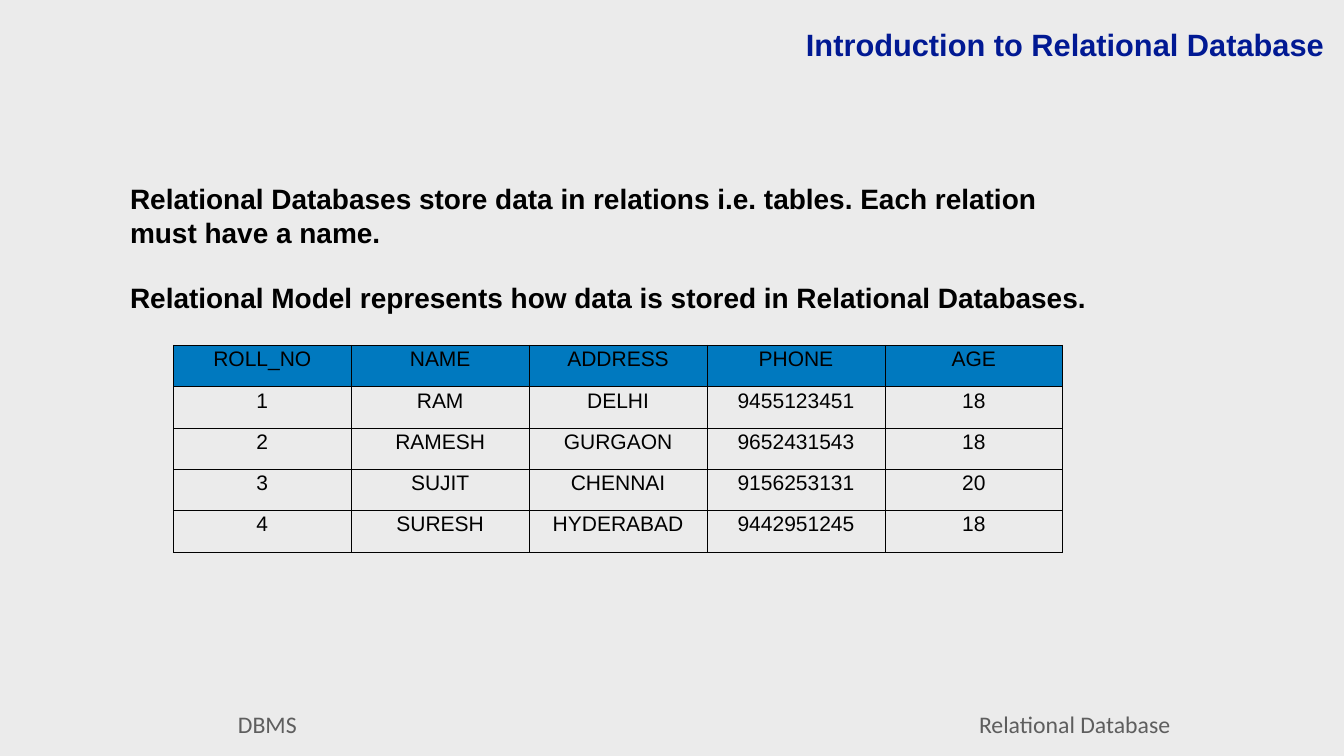
from lxml import etree
from pptx import Presentation
from pptx.dml.color import RGBColor
from pptx.enum.shapes import MSO_SHAPE
from pptx.enum.text import MSO_ANCHOR, PP_ALIGN
from pptx.oxml.ns import qn
from pptx.util import Inches, Pt

LEFT, CENTER, RIGHT = PP_ALIGN.LEFT, PP_ALIGN.CENTER, PP_ALIGN.RIGHT
TOP, MIDDLE = MSO_ANCHOR.TOP, MSO_ANCHOR.MIDDLE
RECTANGLE = MSO_SHAPE.RECTANGLE

COLORS = {
    "background": "EBEBEB",
    "title": "011993",
    "text": "000000",
    "header": "0079BF",
    "footer": "5E5E5E",
}

STUDENTS = [
    ["ROLL_NO", "NAME", "ADDRESS", "PHONE", "AGE"],
    ["1", "RAM", "DELHI", "9455123451", "18"],
    ["2", "RAMESH", "GURGAON", "9652431543", "18"],
    ["3", "SUJIT", "CHENNAI", "9156253131", "20"],
    ["4", "SURESH", "HYDERABAD", "9442951245", "18"],
]


class SlideBuilder:
    """Holds the style and the current slide, and adds elements to it."""

    def __init__(self, slide):
        self.s = slide
        self.font = "Arial"
        self.footer_font = "Calibri"
        fill = slide.background.fill
        fill.solid()
        fill.fore_color.rgb = self.color("background")

    def color(self, name):
        return RGBColor.from_string(COLORS[name])

    def style(self, p, size, color, align, bold=False, font=None):
        p.alignment = align
        p.font.name = font or self.font
        p.font.size = Pt(size)
        p.font.bold = bold
        p.font.color.rgb = self.color(color)

    def text(self, box, paragraphs, size, color, align, inset_top, gap=0):
        sp = self.s.shapes.add_textbox(*map(Inches, box))
        tf = sp.text_frame
        tf.word_wrap = True
        tf.vertical_anchor = TOP
        tf.margin_left = tf.margin_right = tf.margin_bottom = Inches(0.06)
        tf.margin_top = Inches(inset_top)
        tf.text = "\n".join(paragraphs)
        for p in tf.paragraphs:
            self.style(p, size, color, align, bold=True)
            p.space_after = Pt(gap)

    def footer(self, left, text):
        sp = self.s.shapes.add_shape(
            RECTANGLE, Inches(left), Inches(13.97), Inches(9.77), Inches(0.78))
        sp.shadow.inherit = False
        sp.fill.solid()
        sp.fill.fore_color.rgb = self.color("background")
        sp.line.fill.background()
        tf = sp.text_frame
        tf.margin_left = tf.margin_right = tf.margin_top = tf.margin_bottom = 0
        tf.vertical_anchor = MIDDLE
        tf.text = text
        self.style(tf.paragraphs[0], 34, "footer", CENTER, font=self.footer_font)

    def border(self, cell):
        tc_pr = cell._tc.get_or_add_tcPr()
        for side in ("a:lnL", "a:lnR", "a:lnT", "a:lnB"):
            ln = etree.SubElement(tc_pr, qn(side), w=str(Pt(1)))
            fill = etree.SubElement(ln, qn("a:solidFill"))
            etree.SubElement(fill, qn("a:srgbClr"), val=COLORS["text"])

    def table(self, left, top, col_width, row_height, rows):
        n_rows, n_cols = len(rows), len(rows[0])
        table = self.s.shapes.add_table(
            n_rows, n_cols, Inches(left), Inches(top),
            Inches(col_width * n_cols), Inches(row_height * n_rows)).table
        table.first_row = table.horz_banding = False
        for i, row in enumerate(rows):
            for j, value in enumerate(row):
                cell = table.cell(i, j)
                cell.text = value
                self.style(cell.text_frame.paragraphs[0], 30, "text", CENTER)
                self.border(cell)
                if i == 0:
                    cell.fill.solid()
                    cell.fill.fore_color.rgb = self.color("header")
                else:
                    cell.fill.background()


def main():
    prs = Presentation()
    prs.slide_width, prs.slide_height = Inches(26.67), Inches(15)
    slide = SlideBuilder(prs.slides.add_slide(prs.slide_layouts[6]))
    slide.footer(0.42, "DBMS")
    slide.text((2.52, 2.79, 19.31, 4.82), [
        "Relational Databases store data in relations i.e. tables. "
        "Each relation must have a name.",
        "Relational Model represents how data is stored in Relational Databases.",
    ], 40, "text", LEFT, inset_top=0.81, gap=46)
    slide.table(3.44, 6.85, 3.53, 0.82, STUDENTS)
    slide.text((9.73, 0.41, 16.62, 1.59), ["Introduction to Relational Database"],
               44, "title", RIGHT, inset_top=0.1)
    slide.footer(16.44, "Relational Database")
    prs.save("out.pptx")


if __name__ == "__main__":
    main()
